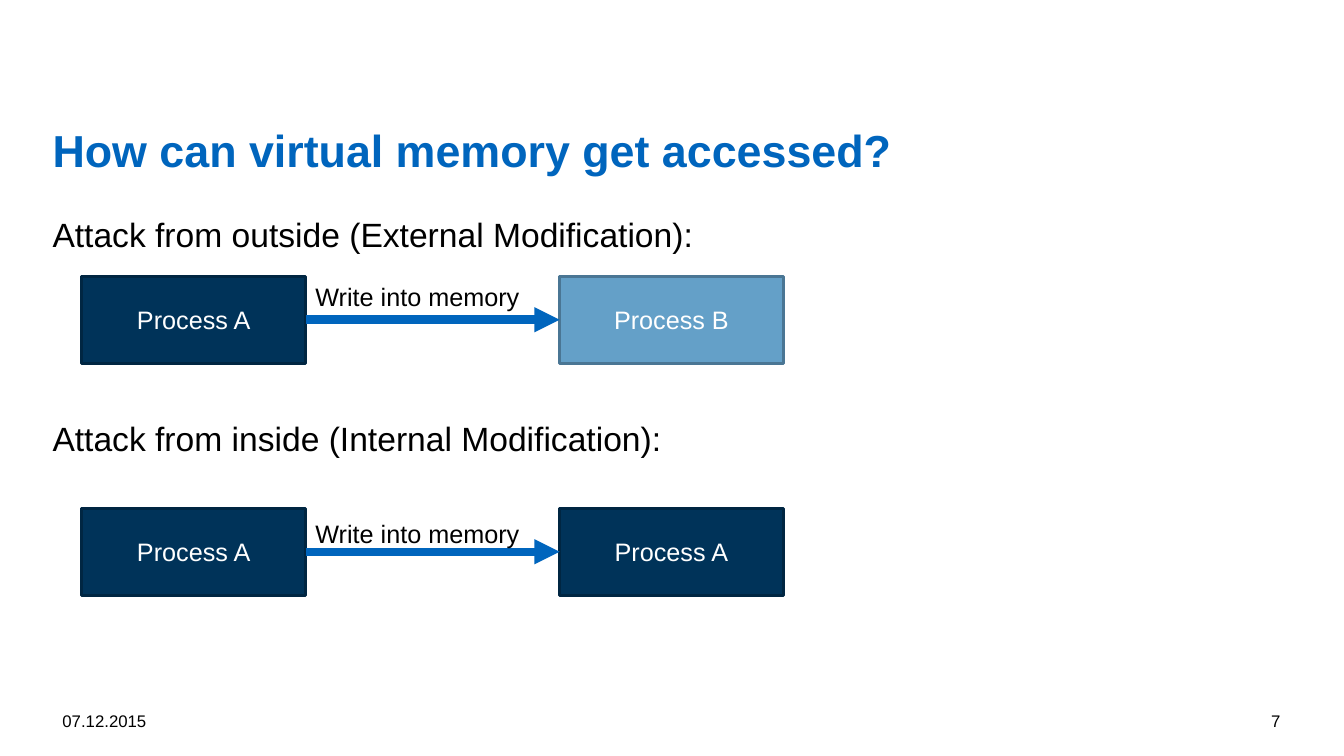
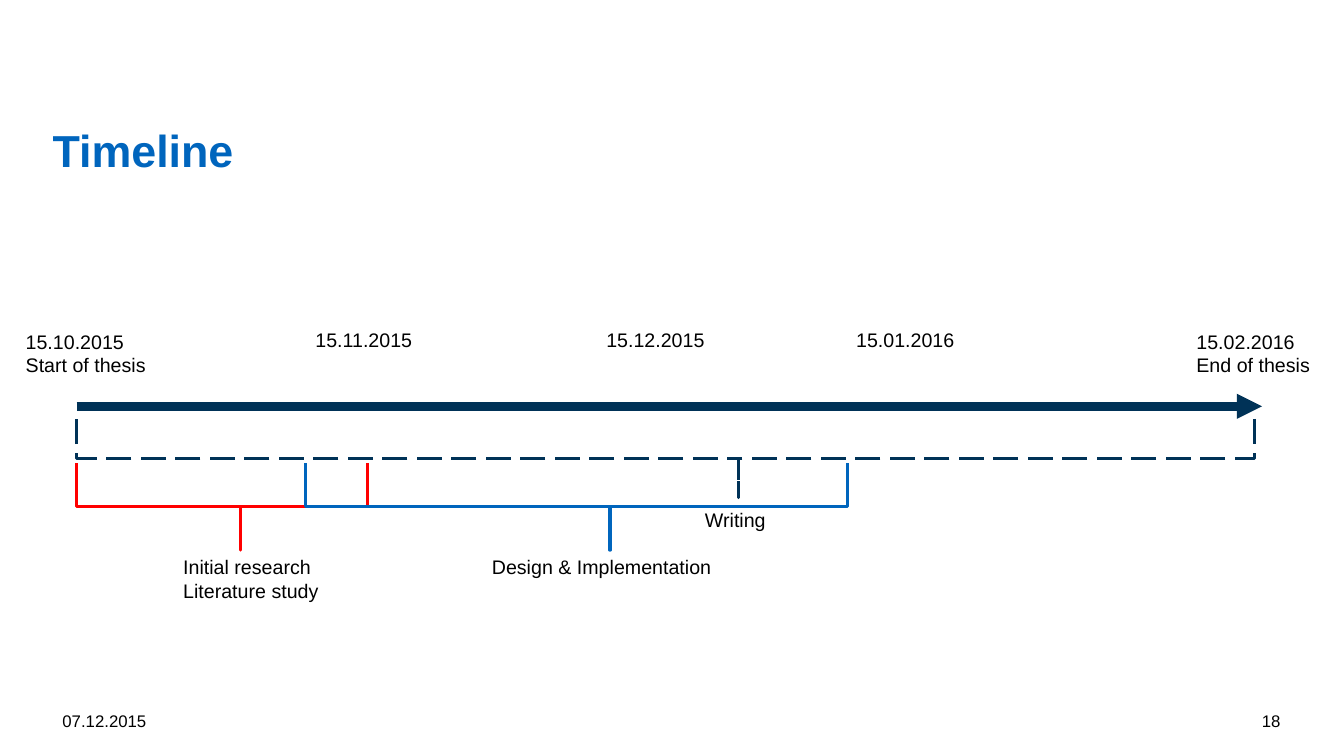
from lxml import etree
from pptx import Presentation
from pptx import util as u
from pptx.dml import color
from pptx.enum import dml, shapes, text
from pptx.oxml import ns

PX = 9525
FONT = "Arial"
HEX = {"title": "0065BD", "navy": "003359", "edge": "002642", "sky": "64A0C8",
       "rim": "4A7694", "axis": "003257", "red": "FF0000", "ink": "000000",
       "white": "FFFFFF"}
LEFT = text.PP_ALIGN.LEFT
RIGHT = text.PP_ALIGN.RIGHT
MID = text.PP_ALIGN.CENTER


def rgb(name):
    """Return the named colour."""
    return color.RGBColor.from_string(HEX[name])


def emu(*nums):
    """Turn px into EMU."""
    return [u.Emu(n * PX) for n in nums]


def style(frame, size, tint="ink", align=LEFT, bold=False):
    """Format every paragraph of a frame alike."""
    for para in frame.paragraphs:
        para.alignment = align
        font = para.font
        font.name, font.size, font.bold = FONT, u.Pt(size), bold
        font.color.rgb = rgb(tint)


def label(parts, box, words, size=14, align=LEFT, anchor=text.MSO_ANCHOR.TOP):
    """Add a wrapped text box."""
    frame = parts.add_textbox(*emu(*box)).text_frame
    frame.word_wrap = True
    frame.vertical_anchor = anchor
    frame.text = words
    style(frame, size, align=align)


def fill_holder(holder, box, lines, size, tint="ink", bold=False):
    """Move a placeholder and set its text flush left without bullets."""
    holder.left, holder.top, holder.width, holder.height = emu(*box)
    frame = holder.text_frame
    frame.margin_left = frame.margin_right = 0
    frame.margin_top = frame.margin_bottom = 0
    frame.auto_size = text.MSO_AUTO_SIZE.NONE
    frame.vertical_anchor = text.MSO_ANCHOR.TOP
    frame.text = "\n".join(lines)
    style(frame, size, tint, bold=bold)
    for para in frame.paragraphs:
        para.line_spacing = 1.25
        para.space_before = u.Pt(0)
        props = para._p.get_or_add_pPr()
        props.set("marL", "0")
        props.set("indent", "0")
        etree.SubElement(props, ns.qn("a:buNone"))
        runs = props.find(ns.qn("a:defRPr"))
        if runs is not None:
            props.append(runs)
    return frame


def base(deck, layout, title, number):
    """Add a slide with title, date and page number."""
    slide = deck.slides.add_slide(deck.slide_layouts[layout])
    fill_holder(slide.shapes.title, (50, 104, 1179, 69), [title], 32, "title", True)
    for x, words, align in ((50, "07.12.2015", LEFT), (930, number, RIGHT)):
        label(slide.shapes, (x, 667, 299, 38), words, 12, align,
              text.MSO_ANCHOR.MIDDLE)
    return slide


def arrow(parts, x1, y1, x2, y2, tint):
    """Add a thick line with a triangle at its end."""
    line = parts.add_connector(shapes.MSO_CONNECTOR.STRAIGHT, *emu(x1, y1, x2, y2))
    line.line.color.rgb = rgb(tint)
    line.line.width = u.Pt(6)
    etree.SubElement(line.line._get_or_add_ln(), ns.qn("a:tailEnd"), type="triangle")
    etree.SubElement(line._element.spPr, ns.qn("a:effectLst"))
    return line


def process(parts, box, words, fill, edge):
    """Add one process box."""
    rect = parts.add_shape(shapes.MSO_SHAPE.RECTANGLE, *emu(*box))
    rect.shadow.inherit = False
    rect.fill.solid()
    rect.fill.fore_color.rgb = rgb(fill)
    rect.line.color.rgb = rgb(edge)
    rect.line.width = u.Pt(2)
    rect.text_frame.text = words
    rect.text_frame.vertical_anchor = text.MSO_ANCHOR.MIDDLE
    style(rect.text_frame, 18, "white", MID)
    return rect


def attack(slide, box, goal, fill, edge, drop):
    """Draw one process writing into another, at the ends of a box."""
    x, y, w, h = box
    side = 213
    parts = slide.shapes.add_group_shape().shapes
    start = process(parts, (x, y, side, h), "Process A", "navy", "edge")
    end = process(parts, (x + w - side, y, side, h), goal, fill, edge)
    link = arrow(parts, x + side, y, x + w - side, y, "title")
    link.begin_connect(start, 3)
    link.end_connect(end, 1)
    label(parts, (x + side, y + drop, w - 2 * side, 38), "Write into memory", 18)


def brace(slide, box, tint, dash=None):
    """Draw a square brace that opens upwards and fills a box."""
    x, y, w, h = box
    turned = (x + (w - h) / 2, y + (h - w) / 2, h, w)
    mark = slide.shapes.add_shape(shapes.MSO_SHAPE.RIGHT_BRACE,
                                  *[u.Emu(int(n * PX)) for n in turned])
    mark.rotation = 90
    mark.adjustments[0], mark.adjustments[1] = 0, 0.438
    mark.shadow.inherit = False
    mark.fill.background()
    mark.line.color.rgb = rgb(tint)
    mark.line.width = u.Pt(2.25)
    mark.line.dash_style = dash


def timeline(slide, box):
    """Draw the time axis with its dates above and phases below."""
    x, y, w = box
    arrow(slide.shapes, x, y, x + w, y, "axis")
    brace(slide, (x, y + 12, 1122, 75), "axis", dml.MSO_LINE.LONG_DASH)
    for dx, wide, tint in ((0, 277, "red"), (218, 516, "title")):
        brace(slide, (x + dx, y + 54, wide, 83), tint)
    notes = ((-58, -78, 151, "15.10.2015\nStart of thesis"),
             (218, -79, 130, "15.11.2015"),
             (495, -79, 130, "15.12.2015"),
             (733, -79, 130, "15.01.2016"),
             (1057, -78, 132, "15.02.2016\nEnd of thesis"),
             (589, 92, 144, "Writing"),
             (92, 137, 311, "Initial research\nLiterature study"),
             (386, 137, 311, "Design & Implementation"))
    for dx, dy, wide, words in notes:
        label(slide.shapes, (x + dx, y + dy, wide, 33), words)


def access(deck):
    """Build the slide on the two ways into memory."""
    slide = base(deck, 1, "How can virtual memory get accessed?", "7")
    frame = fill_holder(slide.placeholders[1], (50, 194, 1179, 464),
                        ["Attack from outside (External Modification):",
                         "Attack from inside (Internal Modification):"], 24)
    frame.paragraphs[1].space_before = u.Pt(110)
    attack(slide, (78, 263, 668, 83), "Process B", "sky", "rim", 0)
    attack(slide, (78, 484, 668, 83), "Process A", "navy", "edge", 5)


def main():
    """Build and save the deck."""
    deck = Presentation()
    deck.slide_width, deck.slide_height = emu(1280, 720)
    access(deck)
    timeline(base(deck, 5, "Timeline", "18"), (73, 387, 1129))
    deck.save("out.pptx")


if __name__ == "__main__":
    main()
